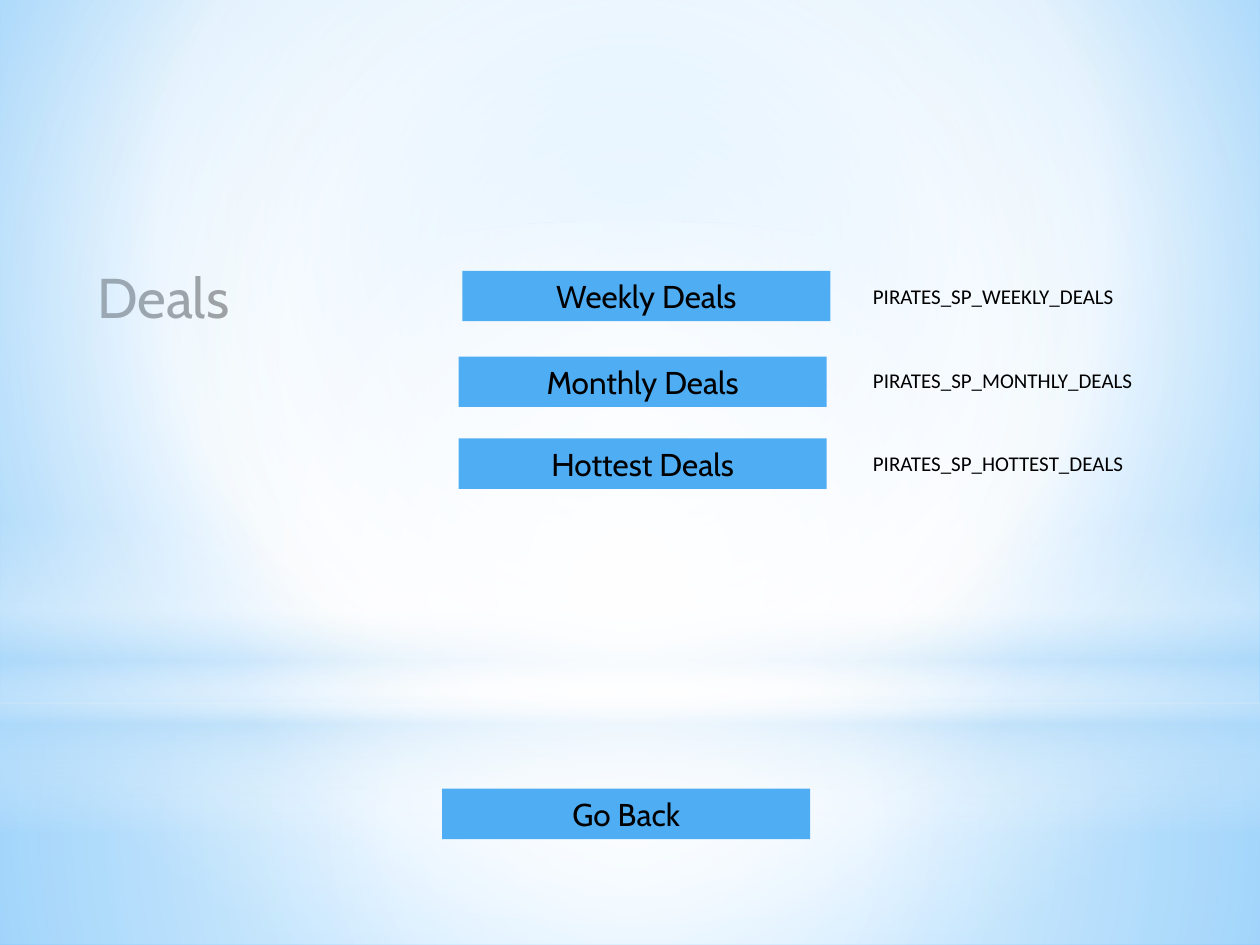
from lxml import etree
from pptx import Presentation
from pptx import util as u
from pptx.dml.color import RGBColor
from pptx.enum import shapes, text
from pptx.oxml.ns import qn

BLACK = RGBColor(0x00, 0x00, 0x00)
BLUE = RGBColor(0x4F, 0xAD, 0xF3)
WHITE = RGBColor(0xFF, 0xFF, 0xFF)
PALE = RGBColor(0xB4, 0xDC, 0xFA)
SKY = RGBColor(0x9E, 0xD5, 0xFF)
DEEP = RGBColor(0x5B, 0xB9, 0xFF)

RECT = shapes.MSO_SHAPE.RECTANGLE
OVAL = shapes.MSO_SHAPE.OVAL
LEFT, MID = text.PP_ALIGN.LEFT, text.PP_ALIGN.CENTER

HEAD = {"name": "Cabin", "size": u.Pt(32)}
LABEL = {"name": "Cabin", "size": u.Pt(18)}
CODE = {"name": "Calibri", "size": u.Pt(12)}


class Page:
    """The current slide and its style."""

    def __init__(self, deck):
        self.slide = deck.slides.add_slide(deck.slide_layouts[5])

    def blend(self, fill, root, stops, focus=None):
        """Fill with stops of (position, colour, opacity), all but colour in percent.

        A focus (left, top, right, bottom) makes it radial; without one it runs down.
        """
        fill.gradient()
        grad = next(root.iter(qn("a:gradFill")))
        for child in list(grad):
            grad.remove(child)

        def add(parent, tag, **values):
            node = etree.SubElement(parent, qn(tag))
            for key, value in values.items():
                node.set(key, str(value))
            return node

        group = add(grad, "a:gsLst")
        for pos, color, alpha in stops:
            stop = add(group, "a:gs", pos=pos * 1000)
            tint = add(stop, "a:srgbClr", val=color)
            if alpha < 100:
                add(tint, "a:alpha", val=alpha * 1000)
        if focus:
            way = add(grad, "a:path", path="circle")
            add(way, "a:fillToRect", **{k: v * 1000 for k, v in zip("ltrb", focus)})
        else:
            add(grad, "a:lin", ang=90 * 60000, scaled=0)

    def back(self, stops, focus):
        self.blend(self.slide.background.fill, self.slide.element, stops, focus)

    def shape(self, kind, box):
        item = self.slide.shapes.add_shape(kind, *map(u.Inches, box))
        item.shadow.inherit = False
        item.line.fill.background()
        return item

    def glow(self, kind, box, stops, focus=None):
        item = self.shape(kind, box)
        self.blend(item.fill, item.element, stops, focus)

    def label(self, item, words, style, align, wrap):
        frame = item.text_frame
        frame.text = words
        setup = {"word_wrap": wrap, "auto_size": text.MSO_AUTO_SIZE.SHAPE_TO_FIT_TEXT,
                 "vertical_anchor": text.MSO_ANCHOR.TOP}
        for key, value in setup.items():
            setattr(frame, key, value)
        para = frame.paragraphs[0]
        para.alignment = align
        for key, value in style.items():
            setattr(para.font, key, value)
        para.font.color.rgb = BLACK

    def title(self, words, box):
        item = self.slide.shapes.title
        for key, value in zip(("left", "top", "width", "height"), box):
            setattr(item, key, u.Inches(value))
        self.label(item, words, HEAD, LEFT, False)

    def button(self, words, left, top):
        item = self.shape(RECT, (left, top, 2.92, 0.4))
        item.fill.solid()
        item.fill.fore_color.rgb = BLUE
        self.label(item, words, LABEL, MID, True)

    def note(self, words, top, width):
        box = (6.83, top, width, 0.3)
        item = self.slide.shapes.add_textbox(*map(u.Inches, box))
        self.label(item, words, CODE, LEFT, False)


def main():
    deck = Presentation()
    deck.slide_width, deck.slide_height = u.Inches(10), u.Inches(7.5)
    page = Page(deck)

    # Background and its soft lights
    center = (50, 50, 50, 50)
    page.back([(0, SKY, 100), (60, WHITE, 100), (100, DEEP, 100)], (20, 10, 20, 60))
    page.glow(RECT, (0, 5.58, 10, 1.92),
              [(0, WHITE, 91), (37, WHITE, 76), (100, PALE, 79)], center)
    page.glow(RECT, (0, 0, 10, 5.58),
              [(0, WHITE, 89), (48, WHITE, 62), (100, PALE, 79)], center)
    page.glow(RECT, (0, 4.12, 10, 2.5),
              [(0, WHITE, 0), (29, WHITE, 30), (45, PALE, 40),
               (55, WHITE, 26), (65, PALE, 60), (100, WHITE, 0)])
    page.glow(OVAL, (0, 1.75, 10, 5.58), [(0, WHITE, 100), (56, WHITE, 0)], center)

    # Title
    page.title("Deals", (0.67, 2.03, 1.27, 0.64))

    # Deal buttons, each with its code
    deals = [("Weekly", 3.67, 2.15, 2.2, 2.14),
             ("Monthly", 3.64, 2.83, 2.87, 2.29),
             ("Hottest", 3.64, 3.48, 3.53, 2.3)]
    for name, left, top, level, width in deals:
        page.button(f"{name} Deals", left, top)
        page.note(f"PIRATES_SP_{name.upper()}_DEALS", level, width)

    # Way back
    page.button("Go Back", 3.51, 6.26)

    deck.save("out.pptx")


if __name__ == "__main__":
    main()
